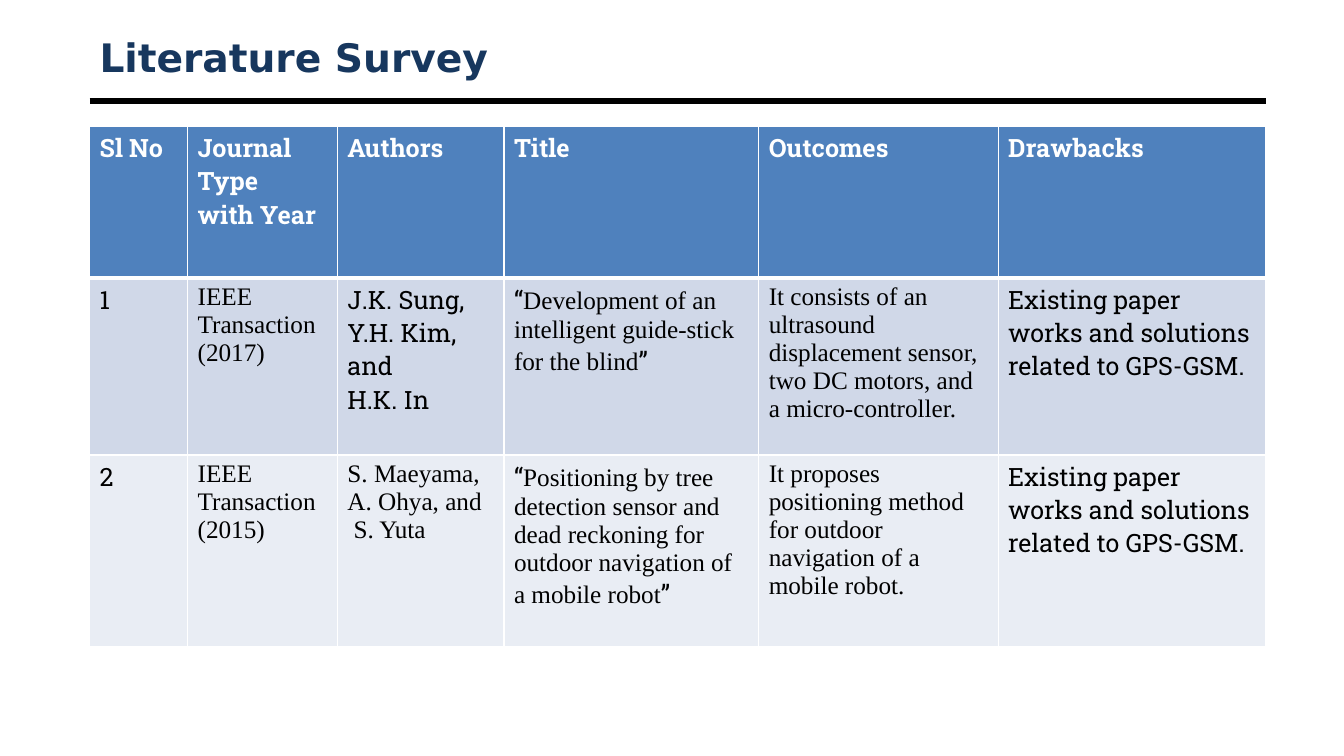
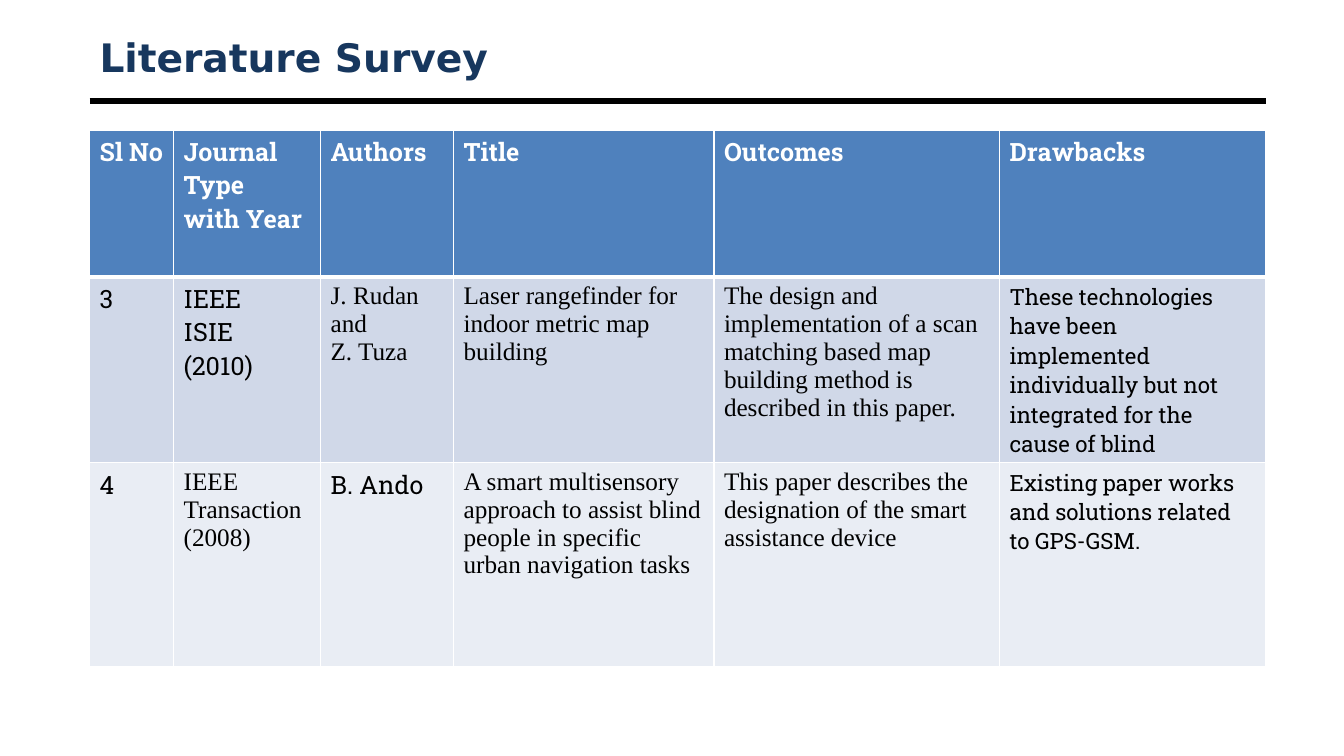
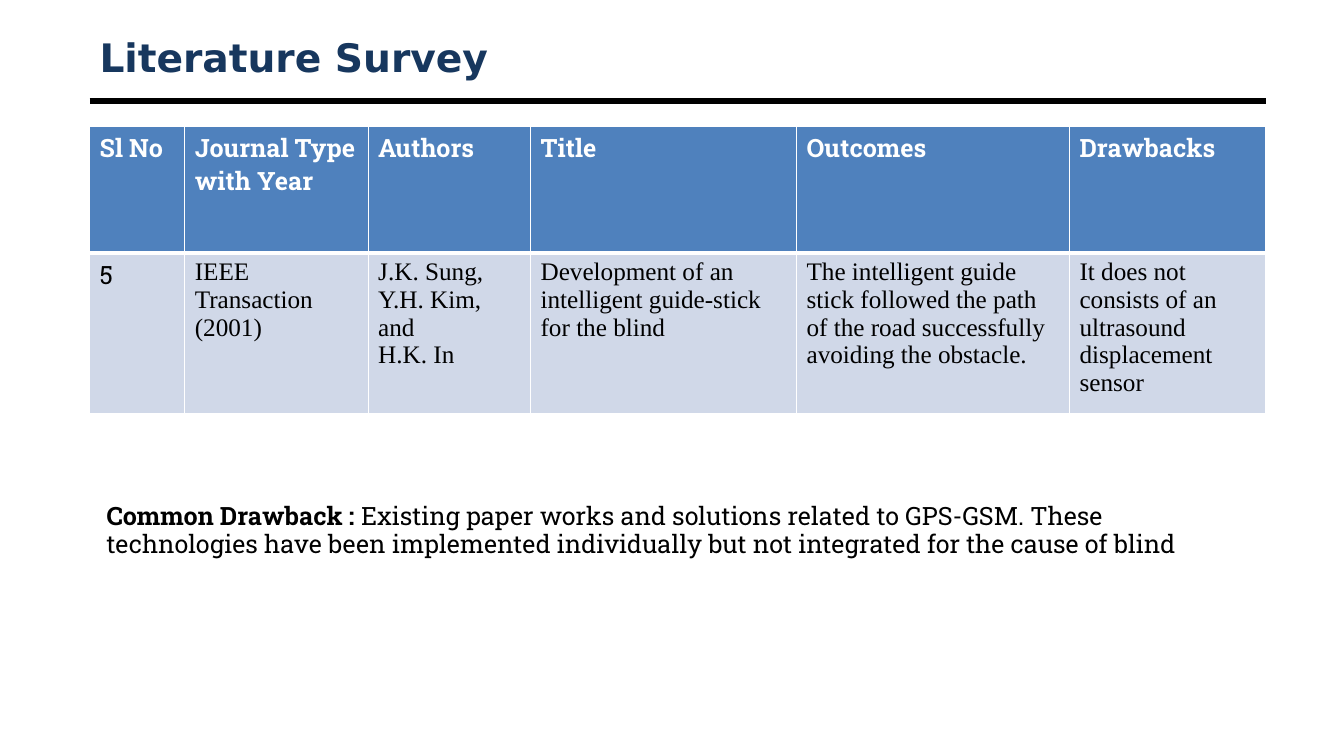
from dataclasses import dataclass
from itertools import groupby

from lxml.etree import SubElement
from pptx import Presentation
from pptx.dml.color import RGBColor
from pptx.enum.shapes import MSO_CONNECTOR
from pptx.enum.text import MSO_ANCHOR
from pptx.oxml.ns import qn
from pptx.util import Pt

SLAB = "Roboto Slab"
SERIF = "Times New Roman"
TITLE_FONT = "DejaVu Sans"
BLACK, WHITE, NAVY = "000000", "FFFFFF", "17375E"
HEADER_FILL = "4F81BD"
BAND_FILLS = ("D0D8E8", "E9EDF4")
LEFT, WIDTH = 64, 840
QUOTES = "“”"
HEADINGS = ("Sl No", "Journal Type\nwith Year", "Authors", "Title", "Outcomes", "Drawbacks")
GPS_DRAWBACK = "Existing paper works and solutions related to GPS-GSM."
BLIND_DRAWBACK = ("These technologies have been implemented individually "
                  "but not integrated for the cause of blind")


@dataclass(frozen=True)
class Entry:
    """Text of one table cell; a line break starts a new paragraph."""
    text: str
    font: str = SERIF
    size: float = 18
    bold: bool = False
    color: str = BLACK


@dataclass(frozen=True)
class Survey:
    top: float
    columns: tuple[float, ...]
    heights: tuple[float, ...]
    rows: tuple[tuple[Entry, ...], ...]


def slab(text: str, size: float = 18) -> Entry:
    return Entry(text, SLAB, size)


SURVEYS = (
    Survey(90, (70, 107, 119, 182, 171, 191), (108.5, 126.5, 137), (
        (slab("1"), Entry("IEEE\nTransaction\n(2017)"),
         slab("J.K. Sung, Y.H. Kim, and\nH.K. In"),
         Entry("“Development of an intelligent guide-stick for the blind”"),
         Entry("It consists of an ultrasound displacement sensor, two DC motors, "
               "and a micro-controller."),
         slab(GPS_DRAWBACK)),
        (slab("2"), Entry("IEEE\nTransaction\n(2015)"),
         Entry("S. Maeyama, A. Ohya, and\n S. Yuta"),
         Entry("“Positioning by tree detection sensor and dead reckoning for "
               "outdoor navigation of a mobile robot”"),
         Entry("It proposes positioning method for outdoor navigation of a mobile robot."),
         slab(GPS_DRAWBACK)),
    )),
    Survey(93, (60, 105, 95, 186, 204, 190), (105, 132.5, 145.5), (
        (slab("3"), slab("IEEE\nISIE\n(2010)"), Entry("J. Rudan\nand\nZ. Tuza"),
         Entry("Laser rangefinder for indoor metric map building"),
         Entry("The design and implementation of a scan matching based map "
               "building method is described in this paper."),
         slab(BLIND_DRAWBACK, 16)),
        (slab("4"), Entry("IEEE Transaction\n(2008)"), slab("B. Ando"),
         Entry("A smart multisensory approach to assist blind people in "
               "specific urban navigation tasks"),
         Entry("This paper describes the designation of the smart assistance device"),
         slab(GPS_DRAWBACK, 16)),
    )),
    Survey(90, (68, 131, 116, 190, 195, 140), (90.5, 110), (
        (slab("5"), Entry("IEEE\nTransaction\n(2001)"),
         Entry("J.K. Sung,\nY.H. Kim, and\nH.K. In"),
         Entry("Development of an intelligent guide-stick for the blind"),
         Entry("The intelligent guide stick followed the path of the road "
               "successfully avoiding the obstacle."),
         Entry("It does not consists of an ultrasound displacement sensor")),
    )),
)


def rgb(color: str) -> RGBColor:
    return RGBColor.from_string(color)


def set_font(font, name: str, size: float, color: str, bold: bool = False) -> None:
    font.name, font.size, font.bold = name, Pt(size), bold
    font.color.rgb = rgb(color)


def add_text_box(page, left: float, top: float, width: float, height: float):
    frame = page.shapes.add_textbox(Pt(left), Pt(top), Pt(width), Pt(height)).text_frame
    frame.word_wrap = True
    return frame


def add_page(deck):
    """Add a blank slide with the shared title and rule."""
    page = deck.slides.add_slide(deck.slide_layouts[6])
    rule = page.shapes.add_connector(MSO_CONNECTOR.STRAIGHT, Pt(LEFT), Pt(72),
                                     Pt(LEFT + WIDTH), Pt(72))
    rule.line.color.rgb = rgb(BLACK)
    rule.line.width = Pt(4.5)
    SubElement(rule.element.spPr, qn("a:effectLst"))
    frame = add_text_box(page, LEFT, 21.6, WIDTH, 38)
    frame.vertical_anchor = MSO_ANCHOR.MIDDLE
    para = frame.paragraphs[0]
    para.text = "Literature Survey"
    set_font(para.font, TITLE_FONT, 28, NAVY, True)
    return page


def set_borders(cell, widths: dict[str, float]) -> None:
    properties = cell._tc.get_or_add_tcPr()
    for side, width in widths.items():
        line = SubElement(properties, qn(f"a:ln{side}"), w=str(Pt(width)))
        SubElement(SubElement(line, qn("a:solidFill")), qn("a:srgbClr"), val=WHITE)


def write_cell(cell, entry: Entry) -> None:
    """Fill in the text, with quotation marks always in the slab font."""
    for index, line in enumerate(entry.text.split("\n")):
        frame = cell.text_frame
        para = frame.add_paragraph() if index else frame.paragraphs[0]
        for quoted, letters in groupby(line, lambda letter: letter in QUOTES):
            span = para.add_run()
            span.text = "".join(letters)
            set_font(span.font, SLAB if quoted else entry.font, entry.size,
                     entry.color, entry.bold)


def add_survey(page, survey: Survey) -> None:
    header = tuple(Entry(text, SLAB, 18, True, WHITE) for text in HEADINGS)
    rows = (header, *survey.rows)
    table = page.shapes.add_table(len(rows), len(header), Pt(LEFT), Pt(survey.top),
                                  Pt(WIDTH), Pt(sum(survey.heights))).table
    for column, width in zip(table.columns, survey.columns):
        column.width = Pt(width)
    for index, (entries, height) in enumerate(zip(rows, survey.heights)):
        table.rows[index].height = Pt(height)
        fill = BAND_FILLS[(index - 1) % 2] if index else HEADER_FILL
        borders = {"L": 1, "R": 1, "T": 3 if index == 1 else 1, "B": 1 if index else 3}
        for cell, entry in zip(table.rows[index].cells, entries):
            set_borders(cell, borders)
            cell.fill.solid()
            cell.fill.fore_color.rgb = rgb(fill)
            write_cell(cell, entry)


def add_common_drawback(page) -> None:
    para = add_text_box(page, 69, 355.5, 821.5, 94).paragraphs[0]
    para.line_spacing = 0.93
    for text, bold in (("Common Drawback : ", True),
                       (f"{GPS_DRAWBACK} {BLIND_DRAWBACK}", False)):
        span = para.add_run()
        span.text = text
        set_font(span.font, SLAB, 18, BLACK, bold)


def main() -> None:
    deck = Presentation()
    deck.slide_width, deck.slide_height = Pt(960), Pt(540)
    for survey in SURVEYS:
        page = add_page(deck)
        add_survey(page, survey)
    add_common_drawback(page)
    deck.save("out.pptx")


if __name__ == "__main__":
    main()
